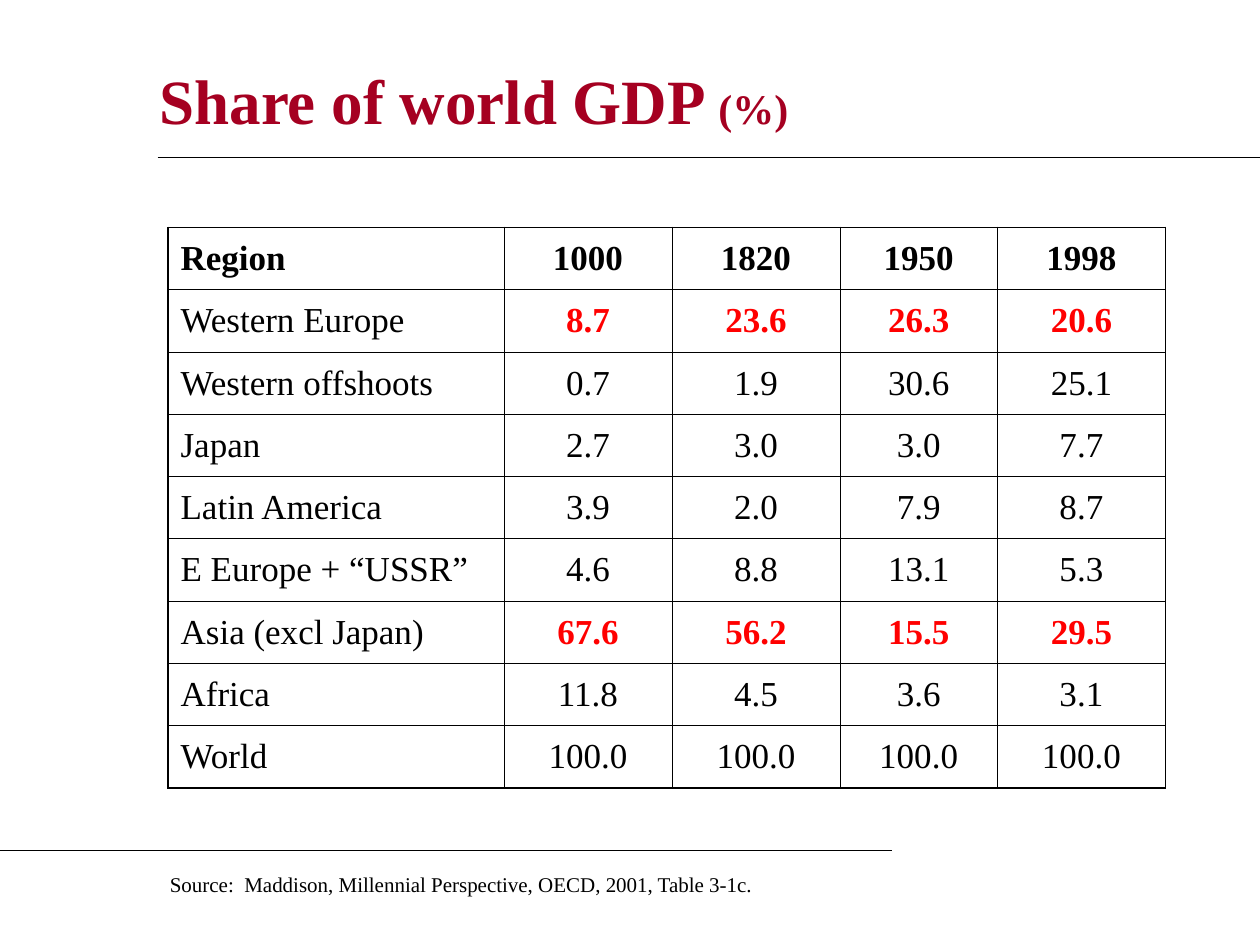
import pptx
import pptx.util
import pptx.dml.color
import pptx.enum.shapes
import pptx.enum.text
import pptx.oxml
import pptx.oxml.ns

Pt = pptx.util.Pt
RGBColor = pptx.dml.color.RGBColor
PP_ALIGN = pptx.enum.text.PP_ALIGN
MIDDLE = pptx.enum.text.MSO_ANCHOR.MIDDLE

FONT = "Times New Roman"
BLACK = RGBColor(0x00, 0x00, 0x00)
RED = RGBColor(0xFF, 0x00, 0x00)
CRIMSON = RGBColor(0xA5, 0x00, 0x21)
THIN, THICK = Pt(0.45), Pt(1.08)


def add_run(p, text, size, color, bold=False):
    r = p.add_run()
    r.text = text
    r.font.name = FONT
    r.font.size = Pt(size)
    r.font.bold = bold
    r.font.color.rgb = color


def set_borders(cell, widths):
    """Draw the left, right, top and bottom borders, in that order."""
    tc_pr = cell._tc.get_or_add_tcPr()
    for i, (side, width) in enumerate(zip("LRTB", widths)):
        tc_pr.insert(i, pptx.oxml.parse_xml(
            f'<a:ln{side} {pptx.oxml.ns.nsdecls("a")} w="{width}">'
            f'<a:solidFill><a:srgbClr val="{BLACK}"/></a:solidFill></a:ln{side}>'))


prs = pptx.Presentation()
prs.slide_width, prs.slide_height = Pt(720), Pt(540)
s = prs.slides.add_slide(prs.slide_layouts[5])

# Title
title = s.shapes.title
title.left, title.top, title.width, title.height = Pt(84), Pt(36), Pt(570), Pt(42)
tf = title.text_frame
tf.auto_size = pptx.enum.text.MSO_AUTO_SIZE.NONE
tf.vertical_anchor = MIDDLE
p = tf.paragraphs[0]
p.alignment = PP_ALIGN.LEFT
add_run(p, "Share of world GDP ", 36, CRIMSON, True)
add_run(p, "(%)", 24, CRIMSON, True)

# Rules below the title and above the source
for x1, x2, y in [(90, 720, 90), (0, 510, 486)]:
    rule = s.shapes.add_connector(
        pptx.enum.shapes.MSO_CONNECTOR.STRAIGHT, Pt(x1), Pt(y), Pt(x2), Pt(y))
    rule.line.color.rgb = BLACK
    rule.line.width = Pt(0.75)
    rule._element.spPr.append(
        pptx.oxml.parse_xml(f'<a:effectLst {pptx.oxml.ns.nsdecls("a")}/>'))

# GDP shares by region
rows = [
    ("Region", "1000", "1820", "1950", "1998"),
    ("Western Europe", "8.7", "23.6", "26.3", "20.6"),
    ("Western offshoots", "0.7", "1.9", "30.6", "25.1"),
    ("Japan", "2.7", "3.0", "3.0", "7.7"),
    ("Latin America", "3.9", "2.0", "7.9", "8.7"),
    ("E Europe + “USSR”", "4.6", "8.8", "13.1", "5.3"),
    ("Asia (excl Japan)", "67.6", "56.2", "15.5", "29.5"),
    ("Africa", "11.8", "4.5", "3.6", "3.1"),
    ("World", "100.0", "100.0", "100.0", "100.0"),
]
highlighted = {"Western Europe", "Asia (excl Japan)"}
col_widths = [192, 96, 96, 90, 96]
row_height = 35.6
last_row, last_col = len(rows) - 1, len(col_widths) - 1

table = s.shapes.add_table(
    len(rows), len(col_widths), Pt(96), Pt(130),
    Pt(sum(col_widths)), Pt(row_height * len(rows))).table
table.first_row = table.horz_banding = False
for column, width in zip(table.columns, col_widths):
    column.width = Pt(width)

for i, row in enumerate(rows):
    table.rows[i].height = Pt(row_height)
    for j, text in enumerate(row):
        cell = table.cell(i, j)
        cell.fill.background()
        cell.vertical_anchor = MIDDLE
        p = cell.text_frame.paragraphs[0]
        p.alignment = PP_ALIGN.CENTER if j else PP_ALIGN.LEFT
        p.space_before = Pt(5)
        marked = j > 0 and row[0] in highlighted
        add_run(p, text, 20, RED if marked else BLACK, marked or i == 0)
        outer = (j == 0, j == last_col, i == 0, i == last_row)
        set_borders(cell, [THICK if edge else THIN for edge in outer])

# Source
tf = s.shapes.add_textbox(Pt(90), Pt(494.5), Pt(366), Pt(21.6)).text_frame
tf.word_wrap = True
tf.auto_size = pptx.enum.text.MSO_AUTO_SIZE.SHAPE_TO_FIT_TEXT
p = tf.paragraphs[0]
p.space_before = Pt(7.5)
add_run(p, "Source:  Maddison, Millennial Perspective, OECD, 2001, Table 3-1c.", 12, BLACK)

prs.save("out.pptx")
